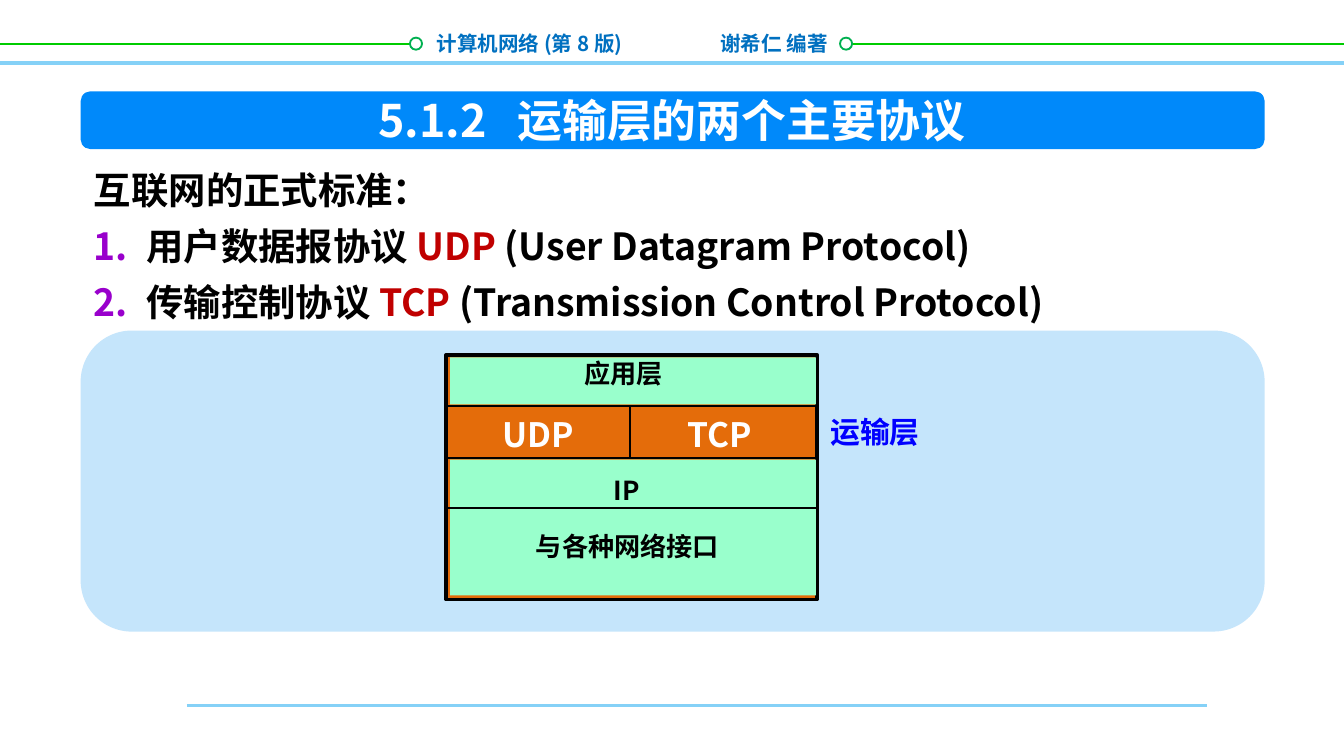
"""Build the slide on the two main transport layer protocols."""
from lxml.etree import SubElement
from pptx import Presentation
from pptx.dml.color import RGBColor
from pptx.enum.shapes import MSO_CONNECTOR, MSO_SHAPE
from pptx.enum.text import MSO_ANCHOR, PP_ALIGN
from pptx.oxml.ns import qn
from pptx.util import Inches, Pt

FONT = "Noto Sans CJK SC"
COLORS = {
    "white": "FFFFFF", "black": "000000", "sky": "85D1F7", "lime": "00CC00",
    "green": "00B050", "header": "0070C0", "title": "0089FA", "panel": "C5E5FB",
    "orange": "E46C0A", "mint": "99FFCC", "number": "9900CC", "red": "C00000",
    "blue": "0000FF",
}
LEFT, CENTER, RIGHT = PP_ALIGN.LEFT, PP_ALIGN.CENTER, PP_ALIGN.RIGHT

MASTER_LINES = [
    ((1.39, 5.25), (8.98, 5.25), "sky", 1.5),
    ((0, 0.47), (10, 0.47), "sky", 2),
    ((0, 0.33), (3.1, 0.33), "lime", 1),
    ((6.25, 0.33), (10, 0.33), "lime", 1),
]
HEADER_DOTS = [3.05, 6.25]
HEADINGS = [
    ("谢希仁 编著", (5.26, 0.18, 1.16, 0.29), 11, "header", LEFT),
    ("计算机网络 (第 8 版)", (3.1, 0.18, 1.63, 0.29), 11, "header", RIGHT),
]
TITLE = ("5.1.2   运输层的两个主要协议", (2.66, 0.64, 4.68, 0.5), 24, "white", CENTER)
INTRO = "互联网的正式标准："
PROTOCOLS = [
    ("用户数据报协议 ", "UDP", " (User Datagram Protocol)"),
    ("传输控制协议 ", "TCP", " (Transmission Control Protocol)"),
]
STACK_LEFT, STACK_RIGHT = 3.32, 6.08
STACK_TOP, STACK_BOTTOM = 2.64, 4.46
LAYER_EDGES = [3.02, 3.41, 3.78]
MINT_BANDS = [(2.66, 0.35), (3.42, 1.01)]
STACK_LABELS = [
    ("TCP", (5.02, 3.03, 0.68, 0.4), 18, "white", LEFT),
    ("UDP", (3.64, 3.03, 0.76, 0.4), 18, "white", LEFT),
    ("IP", (4.47, 3.48, 0.46, 0.4), 14, "black", LEFT),
    ("应用层", (4.25, 2.61, 0.92, 0.4), 14, "black", LEFT),
    ("与各种网络接口", (3.5, 3.9, 2.34, 0.4), 14, "black", CENTER),
    ("运输层", (6.08, 3.03, 0.88, 0.37), 16, "blue", LEFT),
]


def color(name):
    return RGBColor.from_string(COLORS[name])


def add_box(shapes, kind, place, fill, line=None, width=1, corner=None):
    shape = shapes.add_shape(kind, *map(Inches, place))
    shape.shadow.inherit = False
    shape.fill.solid()
    shape.fill.fore_color.rgb = color(fill)
    if line:
        shape.line.color.rgb = color(line)
        shape.line.width = Pt(width)
    else:
        shape.line.fill.background()
    if corner:
        shape.adjustments[0] = corner


def add_line(shapes, start, end, name, width):
    connector = shapes.add_connector(MSO_CONNECTOR.STRAIGHT, *map(Inches, start + end))
    connector.line.color.rgb = color(name)
    connector.line.width = Pt(width)
    SubElement(connector._element.spPr, qn("a:effectLst"))


def add_run(paragraph, text, size, name):
    run = paragraph.add_run()
    run.text = text
    run.font.size = Pt(size)
    run.font.bold = True
    run.font.name = FONT
    run.font.color.rgb = color(name)
    SubElement(run.font._element, qn("a:ea"), typeface=FONT)


def add_frame(shapes, place, wrap):
    frame = shapes.add_textbox(*map(Inches, place)).text_frame
    frame.word_wrap = wrap
    frame.vertical_anchor = MSO_ANCHOR.TOP
    return frame


def add_label(shapes, text, place, size, name, alignment, wrap=False):
    paragraph = add_frame(shapes, place, wrap).paragraphs[0]
    paragraph.alignment = alignment
    add_run(paragraph, text, size, name)


def add_number(paragraph):
    properties = paragraph._p.get_or_add_pPr()
    properties.set("marL", str(Inches(0.39)))
    properties.set("indent", str(-Inches(0.39)))
    bullet_color = SubElement(properties, qn("a:buClr"))
    SubElement(bullet_color, qn("a:srgbClr"), val=COLORS["number"])
    SubElement(properties, qn("a:buFont"), typeface=FONT)
    SubElement(properties, qn("a:buAutoNum"), type="arabicPeriod")


def add_body(shapes):
    frame = add_frame(shapes, (0.6, 1.11, 8.38, 1.36), True)
    paragraph = frame.paragraphs[0]
    paragraph.line_spacing = Pt(30)
    add_run(paragraph, INTRO, 20, "black")
    for parts in PROTOCOLS:
        paragraph = frame.add_paragraph()
        paragraph.line_spacing = Pt(30)
        add_number(paragraph)
        for text, name in zip(parts, ("black", "red", "black")):
            add_run(paragraph, text, 20, name)


def add_stack(shapes):
    width = STACK_RIGHT - STACK_LEFT
    add_box(shapes, MSO_SHAPE.RECTANGLE,
            (STACK_LEFT, STACK_TOP, width, STACK_BOTTOM - STACK_TOP), "orange", "black", 2)
    for edge in LAYER_EDGES:
        add_line(shapes, (STACK_LEFT, edge), (STACK_RIGHT, edge), "black", 1)
        if edge == LAYER_EDGES[1]:
            for top, height in MINT_BANDS:
                place = (STACK_LEFT + 0.03, top, width - 0.04, height)
                add_box(shapes, MSO_SHAPE.RECTANGLE, place, "mint")
    add_line(shapes, (4.69, LAYER_EDGES[0]), (4.69, LAYER_EDGES[1]), "black", 1)
    for label in STACK_LABELS:
        add_label(shapes, *label)


def main():
    presentation = Presentation()
    presentation.slide_width = Inches(10)
    presentation.slide_height = presentation.slide_width * 9 // 16
    slide = presentation.slides.add_slide(presentation.slide_layouts[6])
    shapes = slide.shapes
    for line in MASTER_LINES:
        add_line(shapes, *line)
    for heading in HEADINGS:
        add_label(shapes, *heading, wrap=True)
    for left in HEADER_DOTS:
        add_box(shapes, MSO_SHAPE.OVAL, (left, 0.28, 0.09, 0.09), "white", "green")
    add_box(shapes, MSO_SHAPE.ROUNDED_RECTANGLE, (0.6, 0.68, 8.81, 0.43), "title", corner=0.17)
    add_label(shapes, *TITLE)
    add_body(shapes)
    add_box(shapes, MSO_SHAPE.ROUNDED_RECTANGLE, (0.6, 2.46, 8.81, 2.24), "panel", corner=0.17)
    add_stack(shapes.add_group_shape().shapes)
    presentation.save("out.pptx")


if __name__ == "__main__":
    main()
